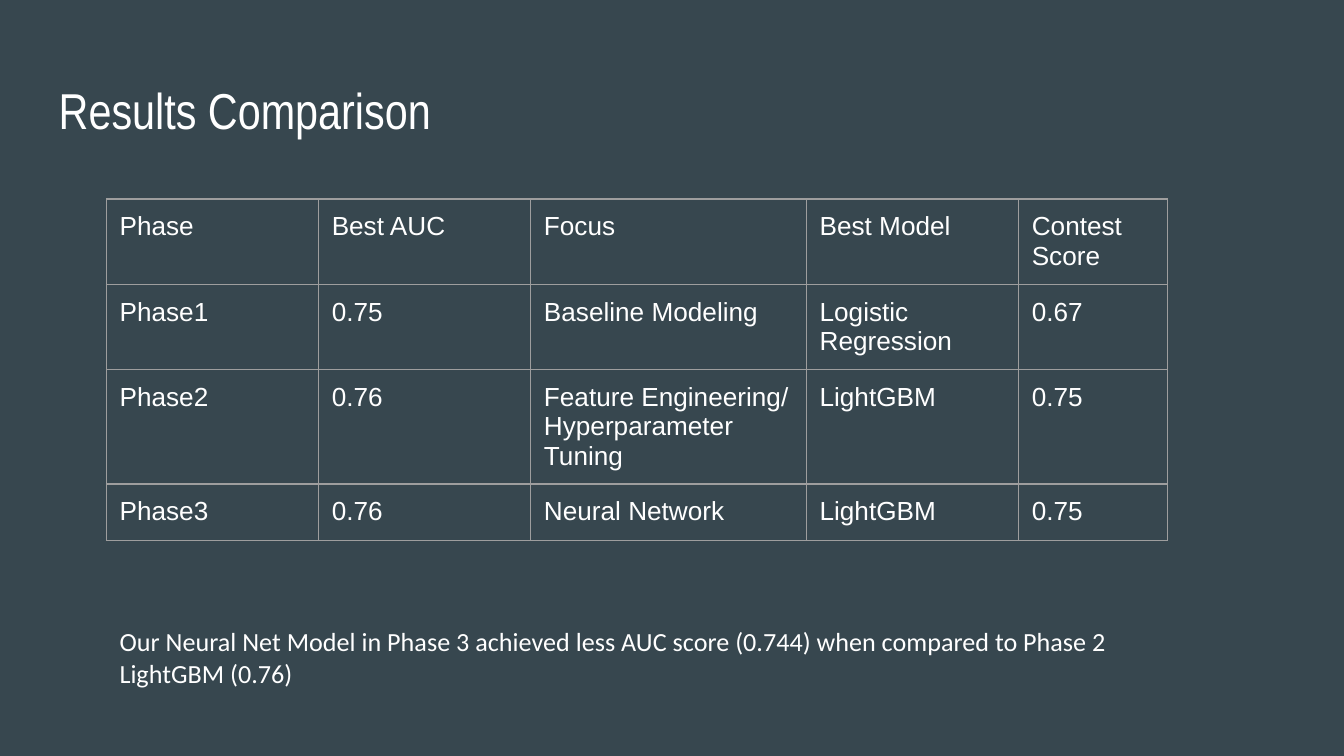
"""Build the results comparison slide with its score table and closing note."""
from lxml import etree
from pptx import Presentation
from pptx import util as u
from pptx.dml.color import RGBColor
from pptx.enum import text
from pptx.oxml import ns

BACKGROUND = RGBColor(0x37, 0x47, 0x4F)
WHITE = RGBColor(0xFF, 0xFF, 0xFF)
BORDER = RGBColor(0x9E, 0x9E, 0x9E)

TITLE = "Results Comparison"
ROWS = [
    ("Phase", "Best AUC", "Focus", "Best Model", "Contest Score"),
    ("Phase1", "0.75", "Baseline Modeling", "Logistic Regression", "0.67"),
    ("Phase2", "0.76", "Feature Engineering/ Hyperparameter Tuning", "LightGBM", "0.75"),
    ("Phase3", "0.76", "Neural Network", "LightGBM", "0.75"),
]
NOTE = ("Our Neural Net Model in Phase 3 achieved less AUC score (0.744) "
        "when compared to Phase 2 LightGBM (0.76)")

COLUMN_WIDTHS = (4.01, 4.01, 5.21, 4.01, 2.82)
ROW_HEIGHT = 1.07
LEFT = 2.01
INSET = u.Cm(0.25)


def write_text(holder, content, size=14, font="Arial", color=WHITE):
    holder.margin_left = holder.margin_right = INSET
    holder.margin_top = holder.margin_bottom = INSET
    holder.vertical_anchor = text.MSO_ANCHOR.TOP
    frame = getattr(holder, "text_frame", holder)
    frame.word_wrap = True
    paragraph = frame.paragraphs[0]
    paragraph.alignment = text.PP_ALIGN.LEFT
    run = paragraph.add_run()
    run.text = content
    run.font.size = u.Pt(size)
    run.font.name = font
    run.font.color.rgb = color


def draw_borders(cell):
    properties = cell._tc.get_or_add_tcPr()
    for index, side in enumerate(("lnL", "lnR", "lnT", "lnB")):
        line = etree.Element(ns.qn(f"a:{side}"), w=str(u.Pt(0.75)))
        fill = etree.SubElement(line, ns.qn("a:solidFill"))
        etree.SubElement(fill, ns.qn("a:srgbClr"), val=str(BORDER))
        properties.insert(index, line)


def add_results_table(slide):
    frame = slide.shapes.add_table(
        len(ROWS), len(COLUMN_WIDTHS), u.Cm(LEFT), u.Cm(3.76),
        u.Cm(sum(COLUMN_WIDTHS)), u.Cm(ROW_HEIGHT * len(ROWS)))
    table = frame.table
    table.first_row = table.horz_banding = False
    for column, width in zip(table.columns, COLUMN_WIDTHS):
        column.width = u.Cm(width)
    for row, values in zip(table.rows, ROWS):
        row.height = u.Cm(ROW_HEIGHT)
        for cell, value in zip(row.cells, values):
            write_text(cell, value)
            cell.fill.background()
            draw_borders(cell)


def main():
    presentation = Presentation()
    presentation.slide_width = u.Cm(25.4)
    presentation.slide_height = u.Cm(14.29)
    slide = presentation.slides.add_slide(presentation.slide_layouts[5])
    slide.background.fill.solid()
    slide.background.fill.fore_color.rgb = BACKGROUND

    title = slide.shapes.title
    title.left, title.top = u.Cm(0.86), u.Cm(1.24)
    title.width, title.height = u.Cm(23.67), u.Cm(1.6)
    write_text(title.text_frame, TITLE, size=27, font="Arial Narrow")
    title.text_frame.auto_size = text.MSO_AUTO_SIZE.NONE

    add_results_table(slide)

    note = slide.shapes.add_textbox(u.Cm(LEFT), u.Cm(11.58), u.Cm(20.12), u.Cm(1.7))
    write_text(note.text_frame, NOTE, font="Calibri")
    note.text_frame.auto_size = text.MSO_AUTO_SIZE.SHAPE_TO_FIT_TEXT

    presentation.save("out.pptx")


if __name__ == "__main__":
    main()
